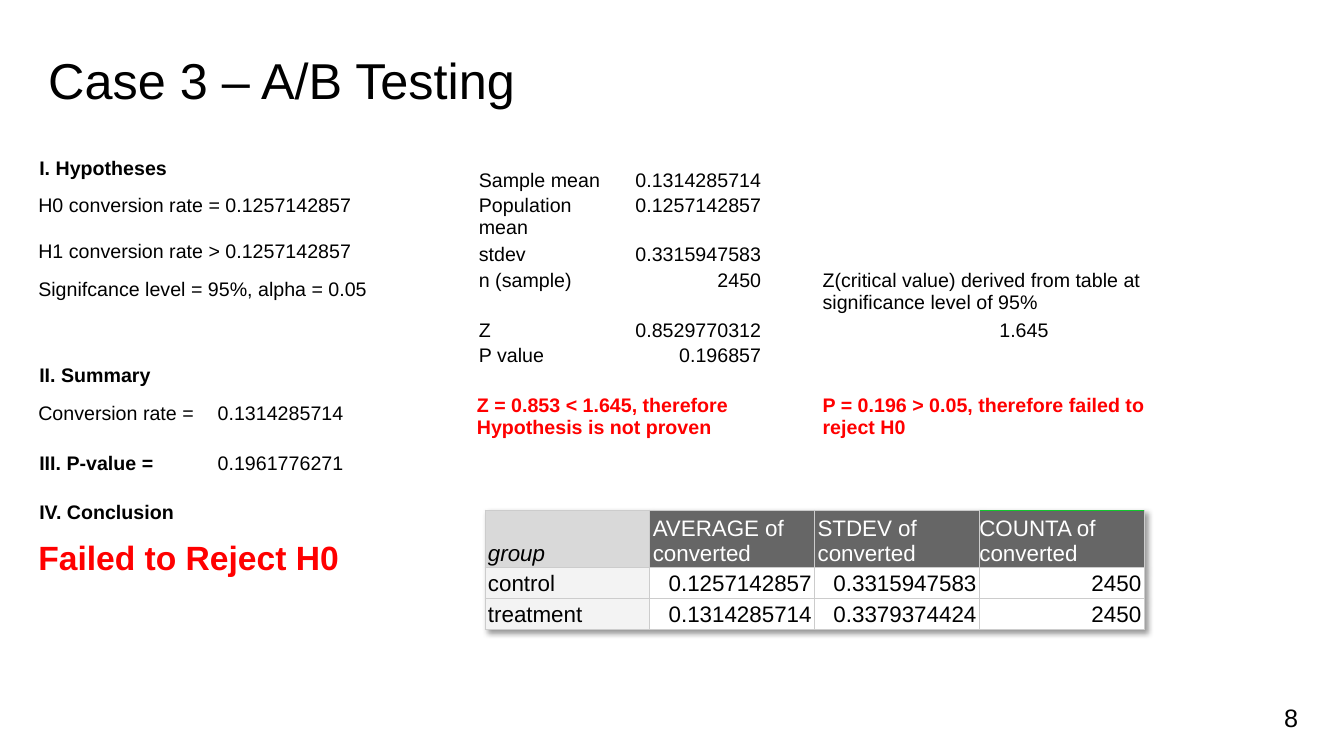
from lxml.etree import SubElement
from pptx import Presentation
from pptx.dml.color import RGBColor
from pptx.enum.text import MSO_ANCHOR as Anchor, PP_ALIGN as Align
from pptx.oxml import parse_xml
from pptx.oxml.ns import nsdecls, qn
from pptx.util import Inches, Pt

COLORS = {
    "ink": "000000", "paper": "FFFFFF", "alert": "FF0000", "rule": "CCCCCC",
    "accent": "10C82C", "corner": "D9D9D9", "header": "666666", "label": "F3F3F3",
}
BODY = {"size": Pt(14), "name": "Arial", "bold": False, "italic": False}
HEADING = {**BODY, "bold": True}
VERDICT = {**BODY, "size": Pt(24), "bold": True}
SUMMARY = {**BODY, "size": Pt(16)}
GROUP = {**SUMMARY, "italic": True}


def apply(target, values):
    for name, value in values.items():
        setattr(target, name, value)


def write(frame, wording, style, color="ink", align=Align.LEFT, **spacing):
    paragraph = frame.paragraphs[0]
    apply(paragraph, {"alignment": align, **spacing})
    run = paragraph.add_run()
    run.text = wording
    apply(run.font, style)
    run.font.color.rgb = RGBColor.from_string(COLORS[color])


def pad(cell, side, top):
    side, top = Inches(side), Inches(top)
    apply(cell, {"margin_left": side, "margin_right": side,
                 "margin_top": top, "margin_bottom": top})


def add_grid(slide, box, widths, heights):
    grid = slide.shapes.add_table(
        len(heights), len(widths), *map(Inches, box)).table
    apply(grid, {"first_row": False, "horz_banding": False})
    for column, width in zip(grid.columns, widths):
        column.width = Inches(width)
    for row, height in zip(grid.rows, heights):
        row.height = Inches(height)
    for cell in grid.iter_cells():
        cell.fill.background()
        pad(cell, 0, 0)
        SubElement(cell.text_frame.paragraphs[0]._p, qn("a:endParaRPr"), sz="600")
    return grid


def add_label(slide, box, wording, size, **format_values):
    frame = slide.shapes.add_textbox(*map(Inches, box)).text_frame
    apply(frame, {"word_wrap": True, **format_values.pop("frame", {})})
    write(frame, wording, {**BODY, "size": Pt(size)}, line_spacing=0.9, **format_values)


def add_steps(slide, box):
    grid = add_grid(slide, box, [1.77, 1.83, 1.34],
                    [0.37, 0.46, 0.38, 0.62, 0.23, 0.38,
                     0.26, 0.23, 0.26, 0.23, 0.38, 1.34])
    for row, last in [(1, 1), (2, 1), (3, 1), (11, 2)]:
        grid.cell(row, 0).merge(grid.cell(row, last))
    entries = [
        (0, 0, "I. Hypotheses", HEADING, 0.01),
        (1, 0, "H0 conversion rate = 0.1257142857", BODY, 0),
        (2, 0, "H1 conversion rate > 0.1257142857", BODY, 0),
        (3, 0, "Signifcance level = 95%, alpha = 0.05", BODY, 0),
        (5, 0, "II. Summary", HEADING, 0.01),
        (6, 0, "Conversion rate =", BODY, 0),
        (6, 1, "0.1314285714", BODY, 0.01),
        (8, 0, "III. P-value =", HEADING, 0.01),
        (8, 1, "0.1961776271", BODY, 0.01),
        (10, 0, "IV. Conclusion", HEADING, 0.01),
        (11, 0, "Failed to Reject H0", VERDICT, 0),
    ]
    for row, column, wording, style, side in entries:
        cell = grid.cell(row, column)
        pad(cell, side, 0.01)
        write(cell.text_frame, wording, style, "alert" if style is VERDICT else "ink")


def add_z_test(slide, box):
    grid = add_grid(slide, box, [1.42, 1.42, 0.57, 2.28, 1.42],
                    [0.24, 0.46] + [0.24] * 6 + [0.78])
    for first, last in [((3, 3), (4, 4)), ((8, 0), (8, 1)), ((8, 3), (8, 4))]:
        grid.cell(*first).merge(grid.cell(*last))
    measures = {
        0: ("Sample mean", "0.1314285714"),
        1: ("Population mean", "0.1257142857"),
        2: ("stdev", "0.3315947583"),
        3: ("n (sample)", "2450"),
        5: ("Z", "0.8529770312"),
        6: ("P value", "0.196857"),
    }
    plain, number = (BODY, "ink", Align.LEFT), (BODY, "ink", Align.RIGHT)
    finding = (HEADING, "alert", Align.LEFT)
    entries = [
        (3, 3, "Z(critical value) derived from table at significance level of 95%", plain),
        (5, 3, "1.645", number),
        (8, 0, "Z = 0.853 < 1.645, therefore Hypothesis is not proven", finding),
        (8, 3, "P = 0.196 > 0.05, therefore failed to reject H0", finding),
    ]
    for row, (measure, value) in measures.items():
        entries += [(row, 0, measure, plain), (row, 1, value, number)]
    for row, column, wording, look in entries:
        cell = grid.cell(row, column)
        pad(cell, 0 if (row, column) == (8, 0) else 0.02, 0.01)
        write(cell.text_frame, wording, *look)


def add_borders(cell, top):
    edges = {"lnL": "rule", "lnR": "rule", "lnT": top, "lnB": "rule"}
    properties = cell._tc.get_or_add_tcPr()
    for position, (edge, color) in enumerate(edges.items()):
        properties.insert(position, parse_xml(
            f'<a:{edge} {nsdecls("a")} w="{Pt(0.75)}"><a:solidFill>'
            f'<a:srgbClr val="{COLORS[color]}"/></a:solidFill></a:{edge}>'))


def add_group_summary(slide, box):
    grid = add_grid(slide, box, [box[2] / 4] * 4, [0.54, 0.29, 0.29])
    grid._tbl.tblPr.insert(0, parse_xml(
        f'<a:effectLst {nsdecls("a")}><a:outerShdw blurRad="50800" dist="38100" '
        'dir="2700000" algn="tl" rotWithShape="0"><a:srgbClr '
        f'val="{COLORS["ink"]}"><a:alpha val="40000"/></a:srgbClr>'
        '</a:outerShdw></a:effectLst>'))
    groups = [
        ("group", "AVERAGE of converted", "STDEV of converted", "COUNTA of converted"),
        ("control", "0.1257142857", "0.3315947583", "2450"),
        ("treatment", "0.1314285714", "0.3379374424", "2450"),
    ]
    for row, group in enumerate(groups):
        for column, wording in enumerate(group):
            cell = grid.cell(row, column)
            is_header, is_label = row == 0, column == 0
            is_count_header = (row, column) == (0, 3)
            fill = (("corner" if is_label else "header") if is_header
                    else "label" if is_label else "paper")
            cell.fill.solid()
            cell.fill.fore_color.rgb = RGBColor.from_string(COLORS[fill])
            cell.vertical_anchor = Anchor.BOTTOM
            pad(cell, 0 if is_count_header else 0.03, 0.02)
            write(cell.text_frame, wording, GROUP if fill == "corner" else SUMMARY,
                  "paper" if fill == "header" else "ink",
                  Align.RIGHT if fill == "paper" else Align.LEFT)
            add_borders(cell, "accent" if is_count_header else "rule")


def build_case(deck):
    slide = deck.slides.add_slide(deck.slide_layouts[6])
    add_label(slide, (12.53, 6.95, 0.55, 0.49), "8", 18, align=Align.CENTER)
    add_label(slide, (0.38, 0.1, 11.5, 1.45), "Case 3 – A/B Testing", 36,
              frame={"vertical_anchor": Anchor.MIDDLE})
    add_steps(slide, (0.38, 1.55, 4.94, 5.21))
    add_z_test(slide, (4.73, 1.67, 7.12, 3.05))
    add_group_summary(slide, (4.81, 5.06, 6.54, 1.12))


deck = Presentation()
apply(deck, {"slide_width": Inches(13.33), "slide_height": Inches(7.5)})
build_case(deck)
deck.save("out.pptx")
